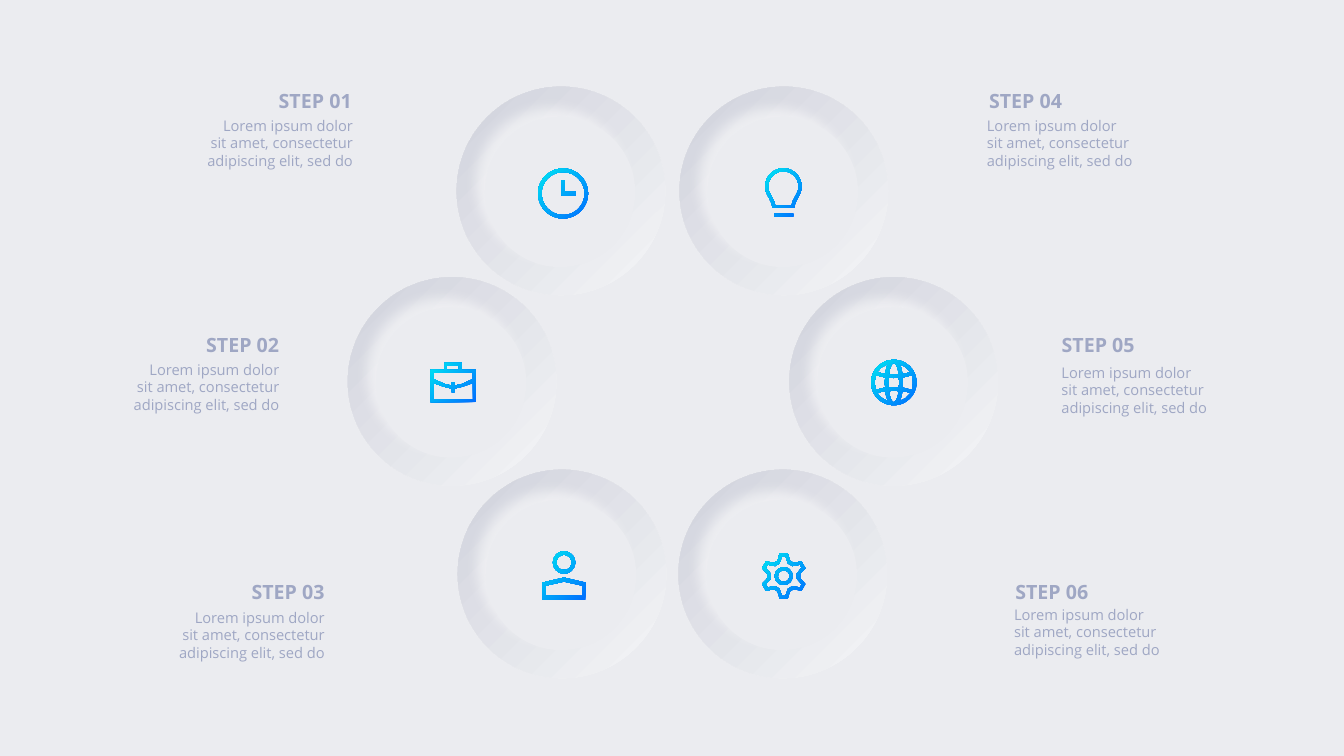
from itertools import product
from math import cos, radians, sin

from lxml.etree import SubElement
from pptx import Presentation
from pptx.dml.color import RGBColor
from pptx.enum.shapes import MSO_SHAPE as Shape
from pptx.enum.text import MSO_ANCHOR as Anchor, MSO_AUTO_SIZE as AutoSize, PP_ALIGN as Align
from pptx.oxml.ns import qn
from pptx.util import Inches, Pt

BACKGROUND = RGBColor(0xEB, 0xEC, 0xF0)
TEXT = RGBColor(0x9F, 0xA7, 0xC4)
RIM_LIGHT = RGBColor(0xF4, 0xF5, 0xF7)
RIM_DARK = RGBColor(0xD0, 0xD2, 0xDC)
ICON_BLUE = RGBColor(0x00, 0x6E, 0xFF)
ICON_CYAN = RGBColor(0x00, 0xE6, 0xF2)
BODY = "Lorem ipsum dolor sit amet, consectetur adipiscing elit, sed do"
FONT = "Open Sans"
RIM, DISC = 2.07, 1.49
TOP, MIDDLE, BOTTOM = 0.86, 2.75, 4.66


def arc(x, y, radius, start=0, end=360, step=6):
    return [(x + radius * cos(radians(a)), y + radius * sin(radians(a)))
            for a in range(start, end + 1, step)]


def paint_gradient(shape, first, last):
    shape.fill.gradient()
    shape.fill.gradient_angle = 135
    for stop, color in zip(shape.fill.gradient_stops, (first, last)):
        stop.color.rgb = color
    shape.line.fill.background()
    shape.shadow.inherit = False


clock = [
    arc(24.5, 25, 24.8),
    arc(24.5, 25, 21.3),
    [(37, 27), (23, 27), (23, 12), (26, 12), (26, 23), (37, 23)],
]
briefcase = [
    [(0, 7), (14, 7), (14, 0), (31, 0), (31, 7), (45, 7), (45, 39), (0, 39)],
    [(16, 3), (28, 3), (28, 7), (16, 7)],
    [(3, 10), (42, 10), (42, 16), (31, 21), (24, 22.5), (24, 19),
     (21, 19), (21, 22.5), (14, 21), (3, 16)],
    [(3, 36), (3, 20), (13, 23.5), (21, 25.5), (21, 29),
     (24, 29), (24, 25.5), (32, 23.5), (42, 20), (42, 36)],
]
person = [
    arc(21.5, 11, 11),
    arc(21.5, 11, 7.5),
    [(43, 31), (21.5, 26), (0, 31), (0, 48), (43, 48)],
    [(39.5, 44), (3.5, 44), (3.5, 34), (21.5, 30), (39.5, 34)],
]
bulb = [
    [(28, 48), (9, 48), (9, 45), (28, 45)],
    [(29, 39), (7, 39), (7, 38), (6, 34), *arc(18, 18, 18, 147, 393), (30, 34), (29, 38)],
    [(26, 37), (10, 37), (8.5, 32), *arc(18, 18, 15, 147, 393), (27.5, 32)],
]
globe_corner = [(5.5, 18.5), (7.5, 14), (8.5, 8.5), (12.5, 9.2), (16.5, 10.5), (12, 15.2)]
globe_side = [(9, 0), (8.5, 5), (13, 6), (18, 7.5), (19, 0), (18, -7.5), (13, -6), (8.5, -5)]
globe_pole = [(-5, 8.5), (0, 8.2), (5, 8.5), (3.5, 15), (1.5, 18.8),
              (0, 19.5), (-1.5, 18.8), (-3.5, 15)]
globe_center = [(-5, -4.8), (0, -4.5), (5, -4.8), (5.3, 0), (5, 4.8), (0, 4.5), (-5, 4.8), (-5.3, 0)]
globe_holes = [globe_center]
globe_holes += [[(x * across, y * down) for x, y in globe_corner]
                for across, down in product((1, -1), repeat=2)]
for sign in (1, -1):
    globe_holes.append([(x * sign, y) for x, y in globe_side])
    globe_holes.append([(x, y * sign) for x, y in globe_pole])
globe = [arc(22.5, 22.5, 22.5)]
globe += [[(22.5 + x, 22.5 + y) for x, y in hole] for hole in globe_holes]

gear = [arc(21.3, 22.5, 8.8), arc(21.3, 22.5, 5.7)]
for tooth in (
    [(-22, 16.4), (-10, 22.85), (10, 22.85), (22, 16.4)],
    [(-19, 13.2), (-5, 19.6), (5, 19.6), (19, 13.2)],
):
    gear.append([(21.3 + radius * sin(radians(turn + angle)),
                  22.5 - radius * cos(radians(turn + angle)))
                 for turn in range(0, 360, 60) for angle, radius in tooth])

steps = [
    ("STEP 01", Align.RIGHT, (2.76, 0.88), (1.93, 1.0), (4.53, TOP), clock, (5.34, 1.67)),
    ("STEP 02", Align.RIGHT, (2.04, 3.3), (1.2, 3.42), (3.45, MIDDLE), briefcase, (4.27, 3.6)),
    ("STEP 03", Align.RIGHT, (2.49, 5.75), (1.65, 5.88), (4.54, BOTTOM), person, (5.38, 5.47)),
    ("STEP 04", Align.LEFT, (9.81, 0.88), (9.69, 1.0), (6.74, TOP), bulb, (7.59, 1.67)),
    ("STEP 05", Align.LEFT, (10.53, 3.3), (10.43, 3.45), (7.83, MIDDLE), globe, (8.64, 3.57)),
    ("STEP 06", Align.LEFT, (10.07, 5.75), (9.96, 5.85), (6.73, BOTTOM), gear, (7.56, 5.49)),
]

presentation = Presentation()
presentation.slide_width = Inches(13.33)
presentation.slide_height = Inches(7.5)
slide = presentation.slides.add_slide(presentation.slide_layouts[6])
slide.background.fill.solid()
slide.background.fill.fore_color.rgb = BACKGROUND

for label, align, label_at, body_at, (left, top), icon, (icon_left, icon_top) in steps:
    group = slide.shapes.add_group_shape()
    rim = group.shapes.add_shape(Shape.OVAL, Inches(left), Inches(top), Inches(RIM), Inches(RIM))
    paint_gradient(rim, RIM_LIGHT, RIM_DARK)
    disc = group.shapes.add_shape(Shape.OVAL, Inches(left + 0.28), Inches(top + 0.3),
                                  Inches(DISC), Inches(DISC))
    disc.fill.solid()
    disc.fill.fore_color.rgb = BACKGROUND
    disc.line.fill.background()
    disc.shadow.inherit = False
    effects = disc.element.spPr.find(qn("a:effectLst"))
    glow = SubElement(effects, qn("a:outerShdw"), blurRad=str(Pt(9)), dist=str(Pt(9)),
                      dir=str(225 * 60000), algn="ctr", rotWithShape="0")
    glow_color = SubElement(glow, qn("a:srgbClr"), val="FFFFFF")
    SubElement(glow_color, qn("a:alpha"), val="56000")

    builder = None
    for contour in icon:
        points = [(Inches(icon_left + x / 100), Inches(icon_top + y / 100)) for x, y in contour]
        if builder is None:
            builder = slide.shapes.build_freeform(*points[0])
        else:
            builder.move_to(*points[0])
        builder.add_line_segments(points[1:], close=True)
    paint_gradient(builder.convert_to_shape(), ICON_BLUE, ICON_CYAN)

    for text, (x, y), width, height, size, is_label in (
        (label, label_at, 0.73, 0.24, 14, True),
        (BODY, body_at, 1.67, 0.84, 10.5, False),
    ):
        box = slide.shapes.add_textbox(Inches(x), Inches(y), Inches(width), Inches(height))
        frame = box.text_frame
        frame.word_wrap = not is_label
        if is_label:
            frame.auto_size = AutoSize.SHAPE_TO_FIT_TEXT
            frame.margin_left = frame.margin_right = frame.margin_top = frame.margin_bottom = 0
        else:
            frame.vertical_anchor = Anchor.MIDDLE
        paragraph = frame.paragraphs[0]
        paragraph.alignment = align
        run = paragraph.add_run()
        run.text = text
        run.font.name = FONT
        run.font.size = Pt(size)
        run.font.bold = is_label
        run.font.color.rgb = TEXT

presentation.save("out.pptx")
